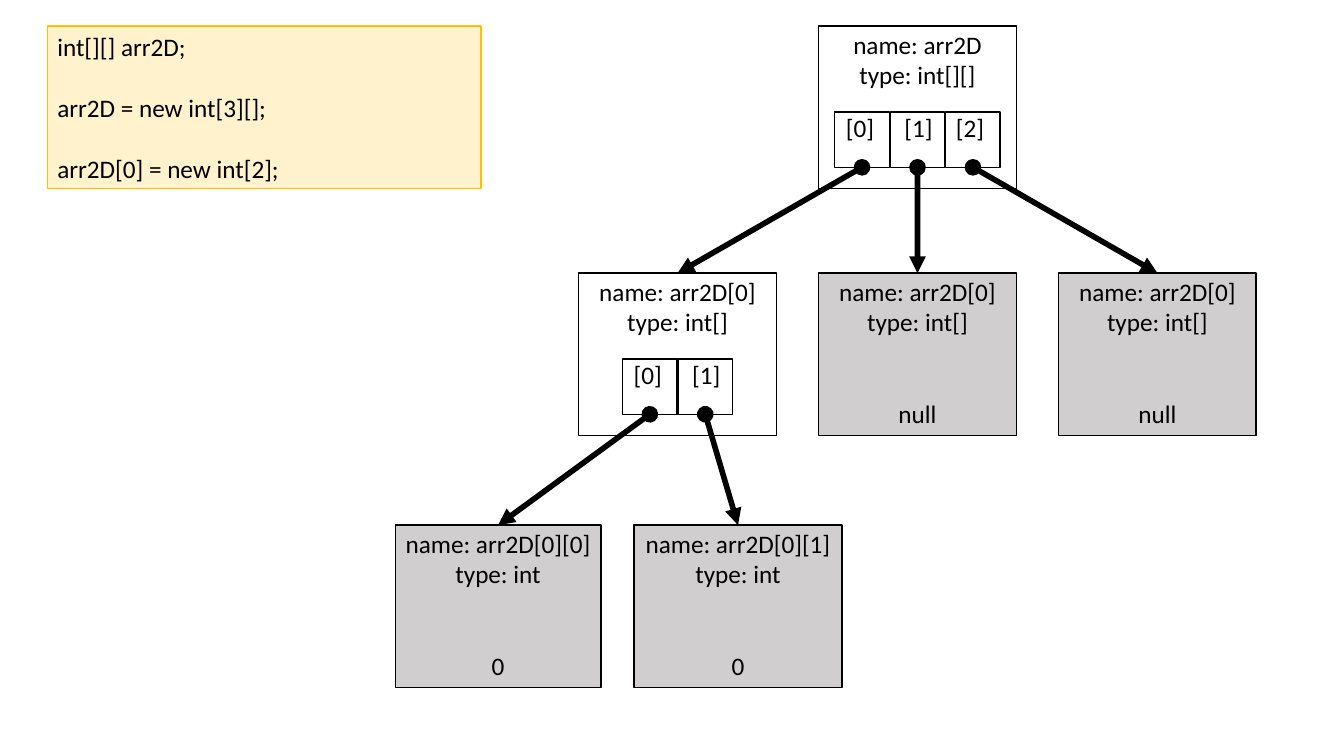
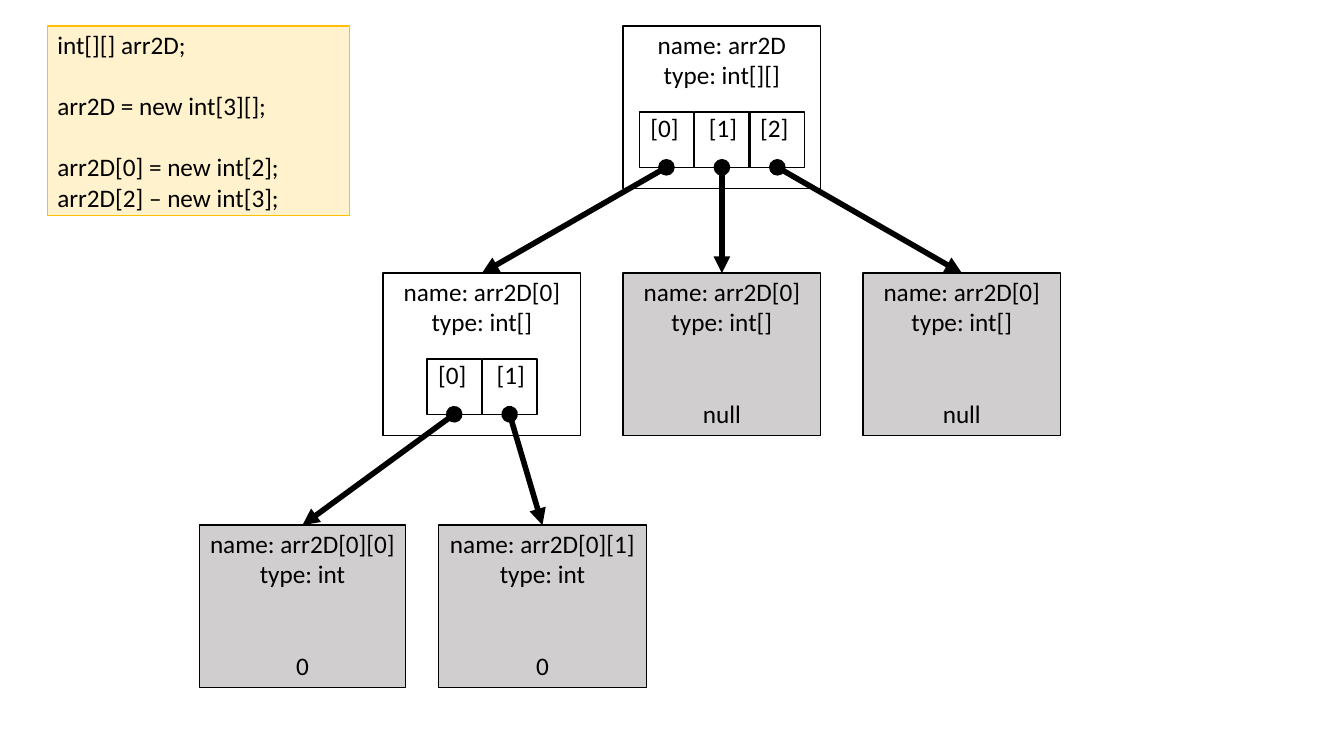
from pptx import Presentation
from pptx.dml.color import RGBColor
from pptx.enum.shapes import MSO_CONNECTOR, MSO_SHAPE
from pptx.enum.text import MSO_ANCHOR, PP_ALIGN
from pptx.oxml.ns import qn
from pptx.util import Inches, Pt
from lxml import etree

RECTANGLE, STRAIGHT = MSO_SHAPE.RECTANGLE, MSO_CONNECTOR.STRAIGHT
TOP, MIDDLE = MSO_ANCHOR.TOP, MSO_ANCHOR.MIDDLE
LEFT, CENTER = PP_ALIGN.LEFT, PP_ALIGN.CENTER

BLACK = RGBColor(0x00, 0x00, 0x00)
WHITE = RGBColor(0xFF, 0xFF, 0xFF)
GRAY = RGBColor(0xD0, 0xCE, 0xCE)
CREAM = RGBColor(0xFF, 0xF2, 0xCC)
GOLD = RGBColor(0xFF, 0xC0, 0x00)

FONT, FONT_SIZE, LINE_HEIGHT = "Calibri", 18, 22

# Each slide: centre of the root node, code box size, code lines with blank lines before each
SLIDES = [
    {"center": 9.1, "code_size": (4.3, 1.61),
     "code": [("int[][] arr2D;", 0), ("arr2D = new int[3][];", 1),
              ("arr2D[0] = new int[2];", 1)]},
    {"center": 7.16, "code_size": (3, 1.88),
     "code": [("int[][] arr2D;", 0), ("arr2D = new int[3][];", 1),
              ("arr2D[0] = new int[2];", 1), ("arr2D[2] – new int[3];", 0)]},
]

# Each level: top, offset of its first node from the root, then its nodes
# as (name, type, value, width, number of cells)
LEVELS = [
    (0.26, 0, [("arr2D", "int[][]", None, 1.96, 3)]),
    (2.71, -2.38, [("arr2D[0]", "int[]", None, 1.96, 2),
                   ("arr2D[0]", "int[]", "null", 1.96, 0),
                   ("arr2D[0]", "int[]", "null", 1.96, 0)]),
    (5.21, -4.16, [("arr2D[0][0]", "int", "0", 2.04, 0),
                   ("arr2D[0][1]", "int", "0", 2.06, 0)]),
]

CODE_LEFT, CODE_TOP = 0.47, 0.26
NODE_PITCH, NODE_HEIGHT = 2.38, 1.61
CELL_WIDTH, CELL_HEIGHT, CELL_PITCH, CELL_DROP = 0.54, 0.55, 0.55, 0.85
LABEL_DROP, LABEL_HEIGHT = 0.05, 0.21
LABEL_SHIFTS = (-0.02, 0.01, -0.03)
SITE_TOP, SITE_BOTTOM = 0, 2


def write(frame, lines, align, anchor, side, top):
    """Fill a text frame with (text, blank lines before) pairs."""
    frame.word_wrap = True
    frame.vertical_anchor = anchor
    frame.margin_left = frame.margin_right = Inches(side)
    frame.margin_top = Inches(top)
    for index, (text, gap) in enumerate(lines):
        paragraph = frame.paragraphs[0] if index == 0 else frame.add_paragraph()
        paragraph.alignment = align
        paragraph.space_before = Pt(gap * LINE_HEIGHT)
        run = paragraph.add_run()
        run.text = text
        run.font.name, run.font.size = FONT, Pt(FONT_SIZE)
        run.font.color.rgb = BLACK


def add_box(shapes, left, top, width, height, fill, line=BLACK):
    """Add an outlined rectangle; a fill of None leaves it open."""
    box = shapes.add_shape(RECTANGLE, Inches(left), Inches(top),
                           Inches(width), Inches(height))
    box.shadow.inherit = False
    if fill is None:
        box.fill.background()
    else:
        box.fill.solid()
        box.fill.fore_color.rgb = fill
    box.line.color.rgb = line
    box.line.width = Pt(1)
    return box


def add_cells(shapes, center, top, count):
    """Add a centred row of indexed cells and return them."""
    first = center - ((count - 1) * CELL_PITCH + CELL_WIDTH) / 2
    lefts = [first + index * CELL_PITCH for index in range(count)]
    cells = [add_box(shapes, left, top, CELL_WIDTH, CELL_HEIGHT, WHITE)
             for left in lefts]
    for index, left in enumerate(lefts):
        label = shapes.add_textbox(
            Inches(left + LABEL_SHIFTS[index]), Inches(top + LABEL_DROP),
            Inches(CELL_WIDTH), Inches(LABEL_HEIGHT))
        write(label.text_frame, [(f"[{index}]", 0)], CENTER, MIDDLE, 0, 0.05)
    return cells


def add_node(shapes, center, top, node):
    """Add one variable box and return it with its cells."""
    name, kind, value, width, count = node
    if count:
        shapes = shapes.add_group_shape().shapes
    box = add_box(shapes, center - width / 2, top, width, NODE_HEIGHT,
                  None if count else GRAY)
    lines = [(f"name: {name}", 0), (f"type: {kind}", 0)]
    if value is not None:
        lines.append((value, 2))
    write(box.text_frame, lines, CENTER, TOP, 0.05, 0.03)
    return box, add_cells(shapes, center, top + CELL_DROP, count)


def add_reference(shapes, cell, target):
    """Draw the arrow from a cell to the node it refers to."""
    arrow = shapes.add_connector(STRAIGHT, 0, 0, 0, 0)
    arrow.begin_connect(cell, SITE_BOTTOM)
    arrow.end_connect(target, SITE_TOP)
    arrow.line.color.rgb = BLACK
    arrow.line.width = Pt(4)
    outline = arrow.line._get_or_add_ln()
    etree.SubElement(outline, qn("a:headEnd"), type="oval")
    etree.SubElement(outline, qn("a:tailEnd"), type="triangle")
    etree.SubElement(arrow._element.spPr, qn("a:effectLst"))


def add_diagram(shapes, center):
    """Draw the levels of the array and link each cell to the next level."""
    cells = []
    for top, offset, nodes in LEVELS:
        placed = [add_node(shapes, center + offset + index * NODE_PITCH, top, node)
                  for index, node in enumerate(nodes)]
        for cell, (box, _) in zip(cells, placed):
            add_reference(shapes, cell, box)
        cells = [cell for _, row in placed for cell in row]


def main():
    """Build the presentation."""
    deck = Presentation()
    deck.slide_width, deck.slide_height = Inches(13.33), Inches(7.5)
    blank_layout = deck.slide_layouts[6]
    for content in SLIDES:
        shapes = deck.slides.add_slide(blank_layout).shapes
        code_box = add_box(shapes, CODE_LEFT, CODE_TOP, *content["code_size"],
                           CREAM, GOLD)
        write(code_box.text_frame, content["code"], LEFT, MIDDLE, 0.1, 0.05)
        add_diagram(shapes, content["center"])
    deck.save("out.pptx")


main()
